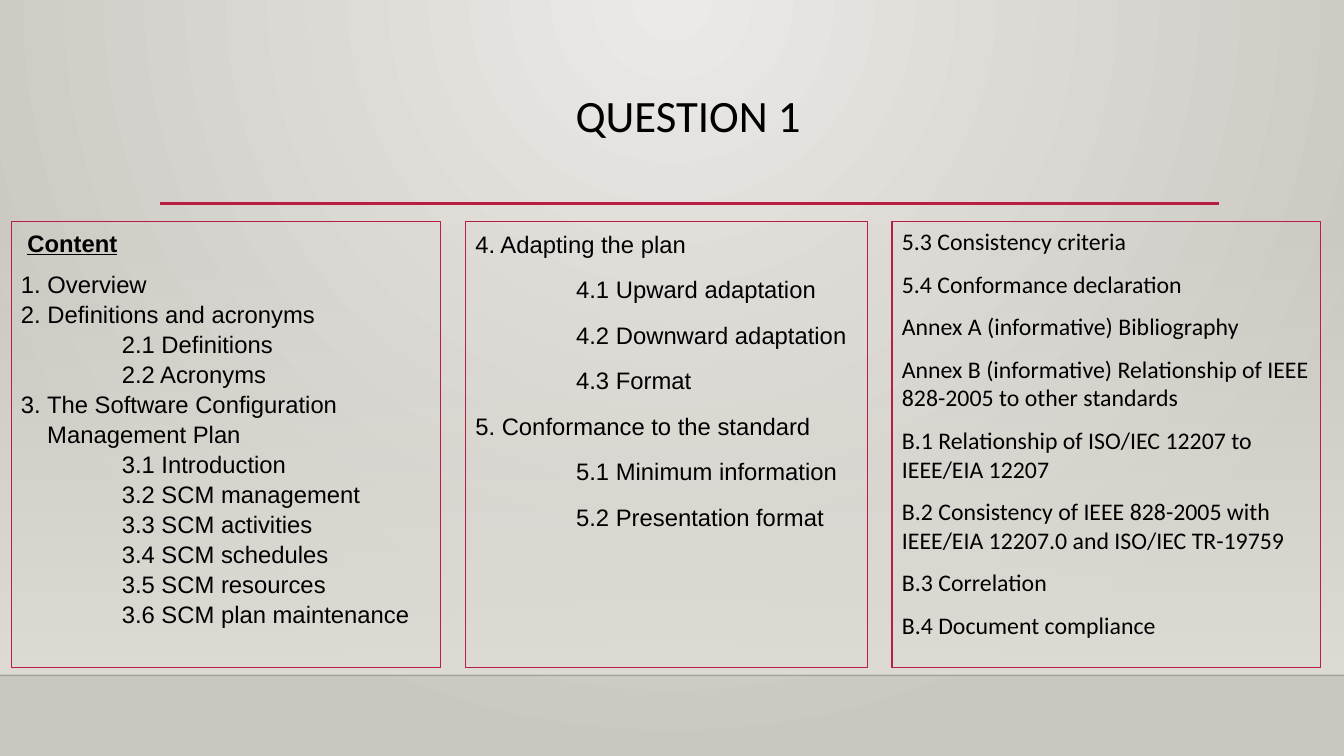
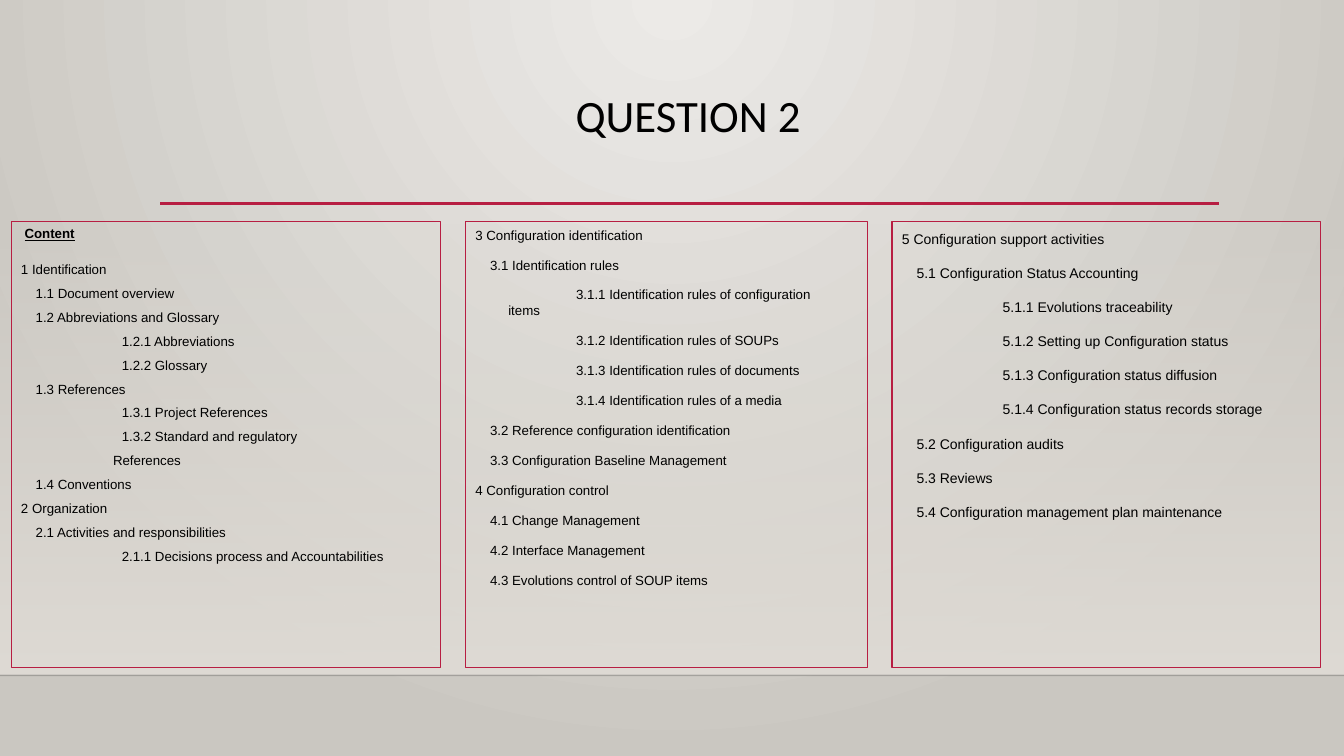
from dataclasses import dataclass

from lxml.etree import SubElement
from pptx import Presentation
from pptx.dml.color import RGBColor
from pptx.dml.fill import FillFormat
from pptx.enum.shapes import MSO_CONNECTOR, MSO_SHAPE
from pptx.enum.text import MSO_ANCHOR, PP_ALIGN
from pptx.oxml.ns import qn
from pptx.slide import Slide
from pptx.text.text import TextFrame
from pptx.util import Cm, Pt

WIDTH, HEIGHT = 33.87, 19.05
RED, BLACK, SAND = "B71E42", "000000", "DFDBD5"
LIGHT, DARK = "ECEAE7", "CAC7C1"
HEAD = "Content"
SPOTS = ((0.28, 10.82), (11.73, 10.13), (22.48, 10.8))  # left and width of each box


@dataclass(frozen=True)
class Step:
    """Where an outline level starts its first line and its further lines."""
    first: float
    rest: float


@dataclass(frozen=True)
class Column:
    items: tuple[str, ...]
    size: float
    steps: tuple[Step, ...]
    line: float = 1.0
    before: float = 0
    font: str = "Arial"
    head: tuple[float, float] = (0, 1)  # indent and line spacing of the heading


@dataclass(frozen=True)
class Page:
    title: str
    columns: tuple[Column, ...]


FLAT, TAB, SUB = Step(0, 0), Step(2.54, 2.54), Step(0.37, 0.37)

PAGES = (
    Page("QUESTION 1", (
        Column((
            HEAD,
            "1. Overview",
            "2. Definitions and acronyms",
            "2.1 Definitions",
            "2.2 Acronyms",
            "3. The Software Configuration Management Plan",
            "3.1 Introduction",
            "3.2 SCM management",
            "3.3 SCM activities",
            "3.4 SCM schedules",
            "3.5 SCM resources",
            "3.6 SCM plan maintenance",
        ), 17, (Step(0, 0.66), TAB), line=1.05, head=(0.16, 1.05)),
        Column((
            "4. Adapting the plan",
            "4.1 Upward adaptation",
            "4.2 Downward adaptation",
            "4.3 Format",
            "5. Conformance to the standard",
            "5.1 Minimum information",
            "5.2 Presentation format",
        ), 17, (FLAT, TAB), line=1.1, before=10),
        Column((
            "5.3 Consistency criteria",
            "5.4 Conformance declaration",
            "Annex A (informative) Bibliography",
            "Annex B (informative) Relationship of IEEE 828-2005 to other standards",
            "B.1 Relationship of ISO/IEC 12207 to IEEE/EIA 12207",
            "B.2 Consistency of IEEE 828-2005 with IEEE/EIA 12207.0 and ISO/IEC TR-19759",
            "B.3 Correlation",
            "B.4 Document compliance",
        ), 17, (FLAT, FLAT), before=10, font="Calibri"),
    )),
    Page("QUESTION 2", (
        Column((
            HEAD,
            "1 Identification",
            "1.1 Document overview",
            "1.2 Abbreviations and Glossary",
            "1.2.1 Abbreviations",
            "1.2.2 Glossary",
            "1.3 References",
            "1.3.1 Project References",
            "1.3.2 Standard and regulatory\vReferences",
            "1.4 Conventions",
            "2 Organization",
            "2.1 Activities and responsibilities",
            "2.1.1 Decisions process and Accountabilities",
        ), 9.5, (FLAT, SUB, Step(2.54, 2.32)), line=1.5, head=(0.09, 0.95)),
        Column((
            "3 Configuration identification",
            "3.1 Identification rules",
            "3.1.1 Identification rules of configuration\vitems",
            "3.1.2 Identification rules of SOUPs",
            "3.1.3 Identification rules of documents",
            "3.1.4 Identification rules of a media",
            "3.2 Reference configuration identification",
            "3.3 Configuration Baseline Management",
            "4 Configuration control",
            "4.1 Change Management",
            "4.2 Interface Management",
            "4.3 Evolutions control of SOUP items",
        ), 9.5, (FLAT, SUB, Step(2.54, 0.83)), before=10),
        Column((
            "5 Configuration support activities",
            "5.1 Configuration Status Accounting",
            "5.1.1 Evolutions traceability",
            "5.1.2 Setting up Configuration status",
            "5.1.3 Configuration status diffusion",
            "5.1.4 Configuration status records storage",
            "5.2 Configuration audits",
            "5.3 Reviews",
            "5.4 Configuration management plan maintenance",
        ), 10, (FLAT, SUB, TAB), line=1.2, before=10),
    )),
)


def shade(code: str) -> RGBColor:
    return RGBColor.from_string(code)


def fade(root, percent: int) -> None:
    """Set the opacity of the first plain colour below root."""
    SubElement(root.find(".//" + qn("a:srgbClr")), qn("a:alpha"), val=str(percent * 1000))


def blend(fill: FillFormat, start: str, end: str) -> None:
    fill.gradient()
    for stop, code, place in zip(fill.gradient_stops, (start, end), (0, 1)):
        stop.color.rgb = shade(code)
        stop.position = place


def rule(slide: Slide, left: float, right: float, top: float, code: str, weight: float):
    line = slide.shapes.add_connector(
        MSO_CONNECTOR.STRAIGHT, Cm(left), Cm(top), Cm(right), Cm(top))
    line.line.color.rgb = shade(code)
    line.line.width = Pt(weight)
    SubElement(line.element.spPr, qn("a:effectLst"))
    return line


def backdrop(slide: Slide) -> None:
    # Round glow from the top centre
    blend(slide.background.fill, LIGHT, DARK)
    glow = slide.element.find(".//" + qn("a:gradFill"))
    glow.remove(glow.find(qn("a:lin")))
    ring = SubElement(glow, qn("a:path"), path="circle")
    SubElement(ring, qn("a:fillToRect"), l="43000", t="0", r="43000", b="100000")

    # Band that fades in downwards
    band = slide.shapes.add_shape(
        MSO_SHAPE.RECTANGLE, 0, Cm(5.61), Cm(WIDTH), Cm(11.4))
    band.shadow.inherit = False
    band.line.fill.background()
    blend(band.fill, SAND, SAND)
    band.fill.gradient_angle = 270
    fade(band.element.spPr, 0)

    # Floor line and title rule
    floor = rule(slide, 0, WIDTH, 17.02, "000001", 1)
    fade(floor.element.spPr, 20)
    rule(slide, 4.04, 30.73, 5.13, RED, 2.5)


def style(part, size: float, font: str) -> None:
    for run in part.runs:
        run.font.size = Pt(size)
        run.font.name = font
        run.font.color.rgb = shade(BLACK)


def heading(slide: Slide, text: str) -> None:
    box = slide.shapes.add_textbox(Cm(4.01), Cm(2.24), Cm(26.67), Cm(2.95))
    box.text_frame.word_wrap = True
    box.text_frame.text = text
    part = box.text_frame.paragraphs[0]
    part.alignment = PP_ALIGN.CENTER
    part.line_spacing = 0.9
    style(part, 32, "Calibri")


def outline(frame: TextFrame, column: Column) -> None:
    frame.text = "\n".join(column.items)
    for part, item in zip(frame.paragraphs, column.items):
        part.alignment = PP_ALIGN.LEFT
        part.line_spacing = column.line
        part.space_before = Pt(column.before)
        part.space_after = Pt(0)
        style(part, column.size, column.font)
        if item == HEAD:
            inset, part.line_spacing = column.head
            step = Step(inset, inset)
            part.space_after = Pt(8)
            part.runs[0].font.bold = True
            part.runs[0].font.underline = True
        else:
            # The dots in the item's number give its level
            step = column.steps[item.split()[0].rstrip(".").count(".")]
        props = part._p.get_or_add_pPr()
        props.set("marL", str(Cm(step.rest)))
        props.set("indent", str(Cm(step.first) - Cm(step.rest)))


def panel(slide: Slide, left: float, width: float, column: Column) -> None:
    box = slide.shapes.add_shape(
        MSO_SHAPE.RECTANGLE, Cm(left), Cm(5.59), Cm(width), Cm(11.23))
    box.shadow.inherit = False
    box.fill.background()
    box.line.color.rgb = shade(RED)
    box.line.width = Pt(0.75)
    box.text_frame.word_wrap = True
    box.text_frame.vertical_anchor = MSO_ANCHOR.TOP
    outline(box.text_frame, column)


def main() -> None:
    deck = Presentation()
    deck.slide_width, deck.slide_height = Cm(WIDTH), Cm(HEIGHT)
    for page in PAGES:
        slide = deck.slides.add_slide(deck.slide_layouts[6])
        backdrop(slide)
        heading(slide, page.title)
        for (left, width), column in zip(SPOTS, page.columns):
            panel(slide, left, width, column)
    deck.save("out.pptx")


if __name__ == "__main__":
    main()
